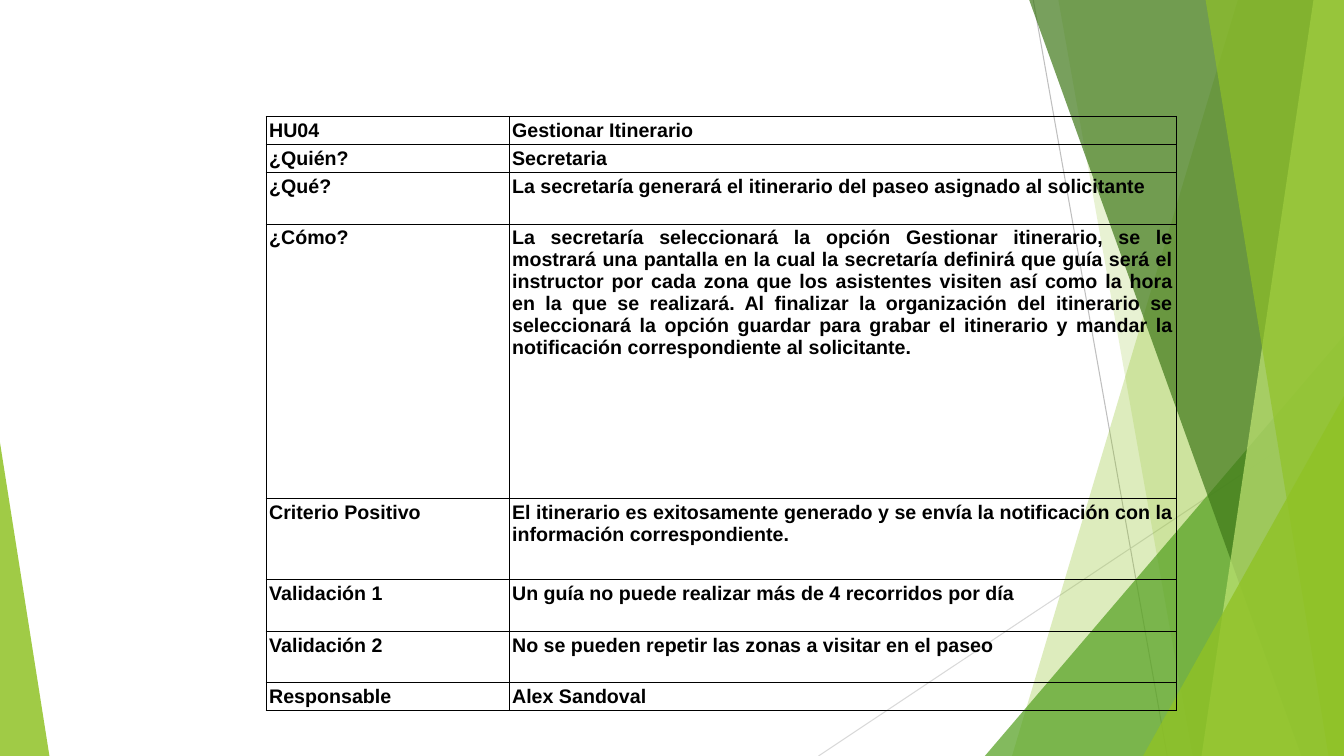
from dataclasses import dataclass

import pptx
import pptx.dml.color
import pptx.enum.shapes
import pptx.enum.text
import pptx.oxml.ns
import pptx.util
from lxml import etree

WIDTH = pptx.util.Inches(13.33)
HEIGHT = pptx.util.Inches(7.5)


@dataclass(frozen=True)
class Theme:
    font: str = "Arial"
    text_size: int = 14
    text: str = "000000"
    border: str = "000000"
    line_width: float = 0.75
    inset: float = 0.03
    gray: str = "BFBFBF"
    light_gray: str = "D9D9D9"
    lime: str = "90C226"
    pale_lime: str = "C0E474"
    green: str = "54A021"
    dark_green: str = "3F7819"


THEME = Theme()


# All lengths below are percentages of the slide's width or height.
@dataclass(frozen=True)
class Ray:
    x1: float
    y1: float
    x2: float
    y2: float
    color: str


@dataclass(frozen=True)
class Facet:
    """Full-height band from a slanted left edge to the slide's right edge."""
    top_x: float
    bottom_x: float
    color: str
    opacity: int


@dataclass(frozen=True)
class Corner:
    """Right triangle standing on the slide's bottom edge."""
    left: float
    top: float
    width: float
    apex: float
    color: str
    opacity: int


@dataclass(frozen=True)
class StoryRow:
    label: str
    detail: str
    height: float


RAYS = [
    Ray(76.88, 0, 86.85, 100, THEME.gray),
    Ray(100, 53.73, 60.9, 100, THEME.light_gray),
]

PANES = [
    Facet(92.1, 75.3, THEME.lime, 30),
    Facet(78.75, 88.73, THEME.lime, 20),
    Corner(73.28, 44.4, 26.72, 1, THEME.green, 72),
    Facet(76.58, 96.83, THEME.dark_green, 70),
    Facet(97.73, 89.4, THEME.pale_lime, 70),
    Facet(89.7, 98.85, THEME.lime, 65),
    Corner(85.05, 52.4, 14.95, 1, THEME.lime, 80),
    Corner(0, 58.53, 3.68, 0, THEME.lime, 85),
]

TABLE_LEFT, TABLE_TOP = 19.8, 15.4
COLUMNS = [18.08, 49.65]
SHORT, MEDIUM = 3.07, 6.8
STORY = [
    StoryRow("HU04", "Gestionar Itinerario", SHORT),
    StoryRow("¿Quién?", "Secretaria", SHORT),
    StoryRow("¿Qué?", "La secretaría generará el itinerario del paseo asignado "
             "al solicitante", MEDIUM),
    StoryRow("¿Cómo?", "La secretaría seleccionará la opción Gestionar itinerario, "
             "se le mostrará una pantalla en la cual la secretaría definirá que guía "
             "será el instructor por cada zona que los asistentes visiten así como la "
             "hora en la que se realizará. Al finalizar la organización del itinerario "
             "se seleccionará la opción guardar para grabar el itinerario y mandar la "
             "notificación correspondiente al solicitante.", 36.27),
    StoryRow("Criterio Positivo", "El itinerario es exitosamente generado y se envía "
             "la notificación con la información correspondiente.", 10.8),
    StoryRow("Validación 1", "Un guía no puede realizar más de 4 recorridos por día",
             MEDIUM),
    StoryRow("Validación 2", "No se pueden repetir las zonas a visitar en el paseo",
             MEDIUM),
    StoryRow("Responsable", "Alex Sandoval", SHORT),
]


def x(share: float) -> int:
    return round(WIDTH * share / 100)


def y(share: float) -> int:
    return round(HEIGHT * share / 100)


def rgb(color: str) -> pptx.dml.color.RGBColor:
    return pptx.dml.color.RGBColor.from_string(color)


def add_child(parent, tag: str, **attributes: str):
    return etree.SubElement(parent, pptx.oxml.ns.qn(tag), **attributes)


def draw_ray(s, ray: Ray) -> None:
    line = s.shapes.add_connector(pptx.enum.shapes.MSO_CONNECTOR.STRAIGHT,
                                  x(ray.x1), y(ray.y1), x(ray.x2), y(ray.y2))
    line.line.color.rgb = rgb(ray.color)
    line.line.width = pptx.util.Pt(THEME.line_width)
    add_child(line._element.spPr, "a:effectLst")


def add_facet(s, facet: Facet):
    builder = s.shapes.build_freeform(x(facet.top_x), 0)
    builder.add_line_segments([(x(100), 0), (x(100), y(100)),
                               (x(facet.bottom_x), y(100))], close=True)
    return builder.convert_to_shape()


def add_corner(s, corner: Corner):
    sp = s.shapes.add_shape(pptx.enum.shapes.MSO_SHAPE.ISOSCELES_TRIANGLE,
                            x(corner.left), y(corner.top),
                            x(corner.width), y(100 - corner.top))
    sp.adjustments[0] = corner.apex
    return sp


def draw_pane(s, pane: Facet | Corner) -> None:
    sp = add_facet(s, pane) if isinstance(pane, Facet) else add_corner(s, pane)
    sp.shadow.inherit = False
    sp.line.fill.background()
    sp.fill.solid()
    sp.fill.fore_color.rgb = rgb(pane.color)
    color = sp._element.spPr.find(".//" + pptx.oxml.ns.qn("a:srgbClr"))
    add_child(color, "a:alpha", val=str(pane.opacity * 1000))


def format_cell(cell, text: str) -> None:
    inset = pptx.util.Inches(THEME.inset)
    cell.margin_left = cell.margin_right = inset
    cell.margin_top = cell.margin_bottom = inset
    tc_pr = cell._tc.get_or_add_tcPr()
    for side in ("a:lnL", "a:lnR", "a:lnT", "a:lnB"):
        ln = add_child(tc_pr, side, w=str(pptx.util.Pt(THEME.line_width)))
        add_child(add_child(ln, "a:solidFill"), "a:srgbClr", val=THEME.border)
    cell.fill.background()
    cell.text = text
    p = cell.text_frame.paragraphs[0]
    p.alignment = pptx.enum.text.PP_ALIGN.JUSTIFY
    p.font.name = THEME.font
    p.font.size = pptx.util.Pt(THEME.text_size)
    p.font.bold = True
    p.font.color.rgb = rgb(THEME.text)


def draw_story(s, rows: list[StoryRow]) -> None:
    frame = s.shapes.add_table(len(rows), len(COLUMNS), x(TABLE_LEFT), y(TABLE_TOP),
                               x(sum(COLUMNS)), y(sum(row.height for row in rows)))
    table = frame.table
    table.first_row = table.horz_banding = False
    for column, width in zip(table.columns, COLUMNS):
        column.width = x(width)
    for i, row in enumerate(rows):
        table.rows[i].height = y(row.height)
        for j, text in enumerate((row.label, row.detail)):
            format_cell(table.cell(i, j), text)


def main() -> None:
    prs = pptx.Presentation()
    prs.slide_width, prs.slide_height = WIDTH, HEIGHT
    s = prs.slides.add_slide(prs.slide_layouts[6])

    # Background decoration
    for ray in RAYS:
        draw_ray(s, ray)
    for pane in PANES:
        draw_pane(s, pane)

    # User story table
    draw_story(s, STORY)
    prs.save("out.pptx")


if __name__ == "__main__":
    main()
